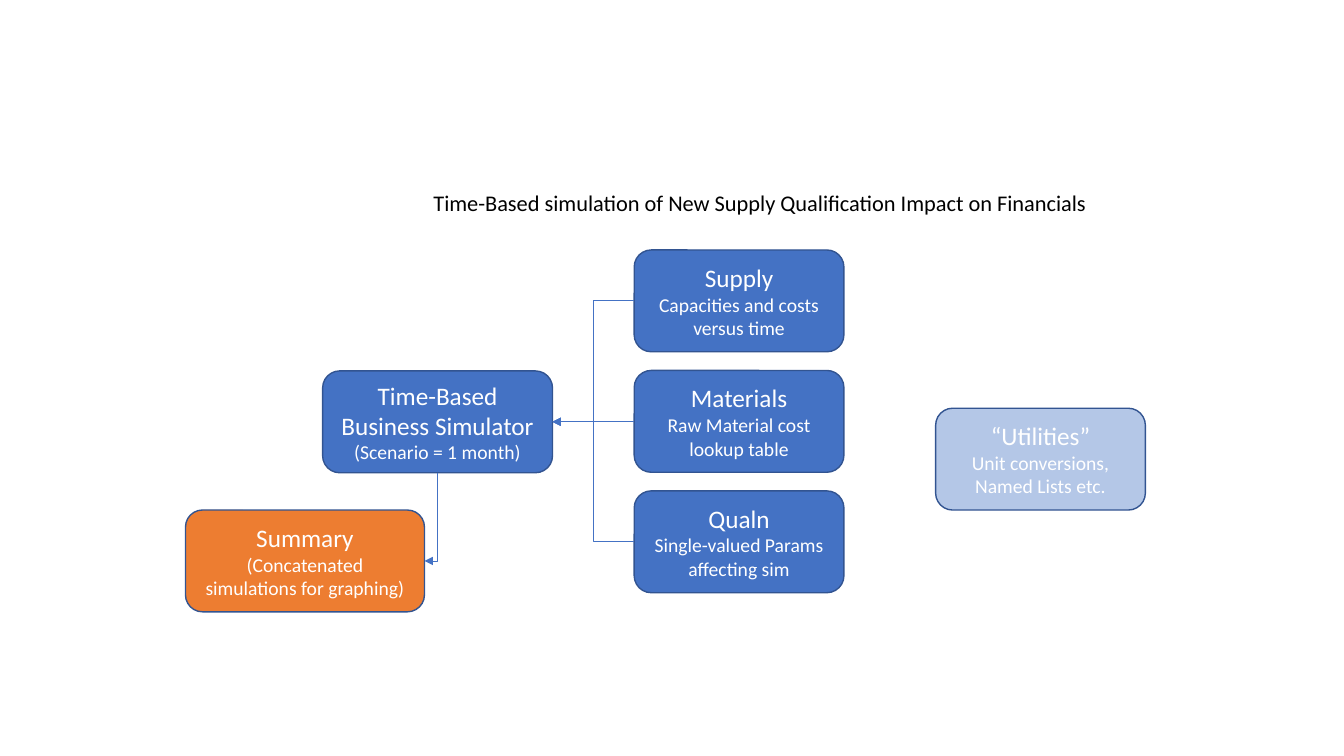
from lxml import etree
from pptx import Presentation
from pptx import util as u
from pptx.dml.color import RGBColor
from pptx.enum import shapes, text
from pptx.oxml.ns import qn

BLUE = RGBColor(0x44, 0x72, 0xC4)
PALE_BLUE = RGBColor(0xB4, 0xC7, 0xE7)
ORANGE = RGBColor(0xED, 0x7D, 0x31)
OUTLINE = RGBColor(0x32, 0x54, 0x91)
WHITE = RGBColor(0xFF, 0xFF, 0xFF)
BLACK = RGBColor(0x00, 0x00, 0x00)

# Content
TITLE = "Time-Based simulation of New Supply Qualification Impact on Financials"
SIMULATOR = ["Time-Based", "Business Simulator", "(Scenario = 1 month)"]
INPUTS = [
    ["Supply", "Capacities and costs versus time"],
    ["Materials", "Raw Material cost lookup table"],
    ["Qualn", "Single-valued Params affecting sim"],
]
UTILITIES = ["“Utilities”", "Unit conversions, Named Lists etc."]
SUMMARY = ["Summary", "(Concatenated simulations for graphing)"]

# Layout in inches
BOX_HEIGHT = 1.01
INPUT_WIDTH = 2.08
INPUT_LEFT, INPUT_TOP, INPUT_STEP = 6.29, 2.48, 1.195
LEFT_SIDE, BOTTOM_SIDE, RIGHT_SIDE = 1, 2, 3  # connection sites of a box

deck = Presentation()
deck.slide_width, deck.slide_height = u.Inches(13.33), u.Inches(7.5)
slide = deck.slides.add_slide(deck.slide_layouts[6])


def write(frame, lines, sizes, color=WHITE, align=text.PP_ALIGN.CENTER):
    frame.word_wrap = True
    for i, (line, size) in enumerate(zip(lines, sizes)):
        paragraph = frame.add_paragraph() if i else frame.paragraphs[0]
        paragraph.alignment = align
        run = paragraph.add_run()
        run.text = line
        run.font.name, run.font.size = "Calibri", u.Pt(size)
        run.font.color.rgb = color


def add_box(lines, left, top, width, fill=BLUE):
    box = slide.shapes.add_shape(
        shapes.MSO_SHAPE.ROUNDED_RECTANGLE,
        *map(u.Inches, (left, top, width, BOX_HEIGHT)))
    box.shadow.inherit = False
    box.fill.solid()
    box.fill.fore_color.rgb = fill
    box.line.color.rgb, box.line.width = OUTLINE, u.Pt(1)
    box.text_frame.vertical_anchor = text.MSO_ANCHOR.MIDDLE
    write(box.text_frame, lines, [18] * (len(lines) - 1) + [14])
    return box


def add_arrow(source, source_side, target, target_side):
    arrow = slide.shapes.add_connector(
        shapes.MSO_CONNECTOR.ELBOW, source.left, source.top, target.left, target.top)
    arrow.begin_connect(source, source_side)
    arrow.end_connect(target, target_side)
    arrow.line.color.rgb, arrow.line.width = BLUE, u.Pt(0.5)
    etree.SubElement(arrow.line._get_or_add_ln(), qn("a:tailEnd"), type="triangle")
    etree.SubElement(arrow._element.spPr, qn("a:effectLst"))
    return arrow


# Boxes
simulator = add_box(SIMULATOR, 3.2, 3.68, 2.28)
inputs = [add_box(lines, INPUT_LEFT, INPUT_TOP + row * INPUT_STEP, INPUT_WIDTH)
          for row, lines in enumerate(INPUTS)]
add_box(UTILITIES, 9.28, 4.05, INPUT_WIDTH, PALE_BLUE)
summary = add_box(SUMMARY, 1.84, 5.06, 2.37, ORANGE)

# Inputs feed the simulator
for source in inputs:
    add_arrow(source, LEFT_SIDE, simulator, RIGHT_SIDE)

# Simulator feeds the summary: one bend, a quarter turn about its centre
down = add_arrow(simulator, BOTTOM_SIDE, summary, RIGHT_SIDE)
start_x, start_y = simulator.left + simulator.width // 2, simulator.top + simulator.height
end_x, end_y = summary.left + summary.width, summary.top + summary.height // 2
drop, shift = end_y - start_y, start_x - end_x
down.left, down.top = (start_x + end_x - drop) // 2, (start_y + end_y - shift) // 2
down.width, down.height = drop, shift
transform = down._element.spPr.find(qn("a:xfrm"))
for flip in ("flipH", "flipV"):
    transform.attrib.pop(flip, None)
transform.set("rot", str(90 * 60000))
down._element.spPr.find(qn("a:prstGeom")).set("prst", "bentConnector2")

# Title
title = slide.shapes.add_textbox(*map(u.Inches, (4.2, 1.83, 6.81, 0.37)))
write(title.text_frame, [TITLE], [16], color=BLACK, align=text.PP_ALIGN.LEFT)

deck.save("out.pptx")
